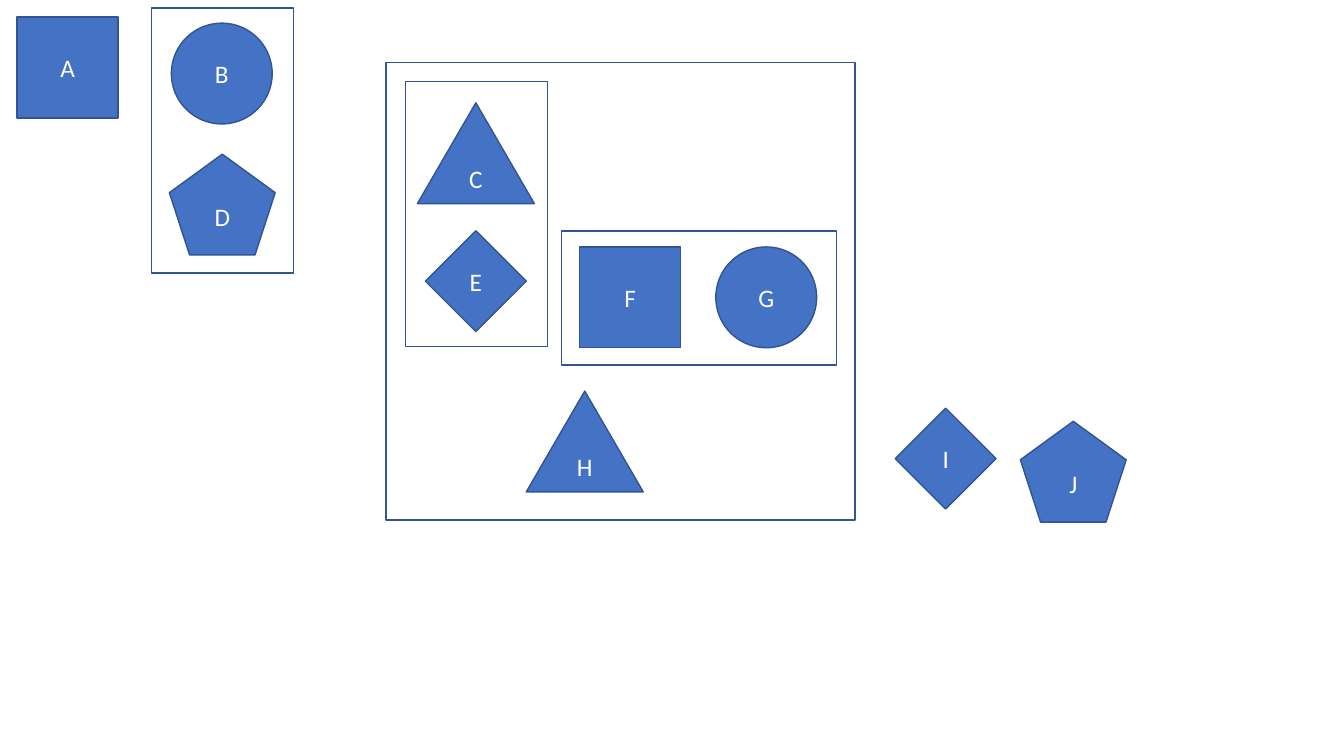
"""Build a slide of lettered shapes, some of them framed in nested groups."""
from pptx import Presentation
from pptx.dml.color import RGBColor
from pptx.enum.shapes import MSO_SHAPE
from pptx.enum.text import MSO_ANCHOR, PP_ALIGN
from pptx.util import Pt

PX = 9144
SQUARE = MSO_SHAPE.RECTANGLE
CIRCLE = MSO_SHAPE.OVAL
TRIANGLE = MSO_SHAPE.ISOSCELES_TRIANGLE
DIAMOND = MSO_SHAPE.DIAMOND
PENTAGON = MSO_SHAPE.REGULAR_PENTAGON
CENTER = PP_ALIGN.CENTER
MIDDLE = MSO_ANCHOR.MIDDLE

COLORS = {"fill": "4472C4", "line": "325491", "text": "FFFFFF"}
FONT = {"name": "Calibri", "size": Pt(18)}
WIDTHS = {SQUARE: 100, CIRCLE: 100, TRIANGLE: 116, DIAMOND: 100, PENTAGON: 105}
HEIGHT = 100


def add_outlined(shapes, kind, left, top, width, height):
    box = shapes.add_shape(kind, left * PX, top * PX, width * PX, height * PX)
    box.shadow.inherit = False
    box.line.color.rgb = RGBColor.from_string(COLORS["line"])
    box.line.width = Pt(1)
    return box


def add_lettered(shapes, letter, kind, left, top):
    box = add_outlined(shapes, kind, left, top, WIDTHS[kind], HEIGHT)
    box.fill.solid()
    box.fill.fore_color.rgb = RGBColor.from_string(COLORS["fill"])
    box.text_frame.vertical_anchor = MIDDLE
    para = box.text_frame.paragraphs[0]
    para.alignment = CENTER
    span = para.add_run()
    span.text = letter
    for name, value in FONT.items():
        setattr(span.font, name, value)
    span.font.color.rgb = RGBColor.from_string(COLORS["text"])


deck = Presentation()
deck.slide_width = 1333 * PX
deck.slide_height = 750 * PX
page = deck.slides.add_slide(deck.slide_layouts[6])

for letter, kind, left, top in [
    ("A", SQUARE, 17, 17),
    ("I", DIAMOND, 888, 405),
    ("J", PENTAGON, 1012, 418),
]:
    add_lettered(page.shapes, letter, kind, left, top)

left_pair = page.shapes.add_group_shape().shapes
cluster = page.shapes.add_group_shape().shapes
add_lettered(cluster, "H", TRIANGLE, 522, 388)
tall_pair = cluster.add_group_shape().shapes
cluster_frame = add_outlined(cluster, SQUARE, 383, 62, 465, 454)
cluster_frame.fill.background()
wide_pair = cluster.add_group_shape().shapes

for pair, members, frame in [
    (left_pair, [("B", CIRCLE, 170, 23), ("D", PENTAGON, 168, 153)], (150, 8, 141, 263)),
    (tall_pair, [("C", TRIANGLE, 414, 102), ("E", DIAMOND, 422, 229)], (402, 81, 141, 263)),
    (wide_pair, [("F", SQUARE, 575, 245), ("G", CIRCLE, 710, 245)], (557, 229, 273, 133)),
]:
    for member in members:
        add_lettered(pair, *member)
    add_outlined(pair, SQUARE, *frame).fill.background()

deck.save("out.pptx")
